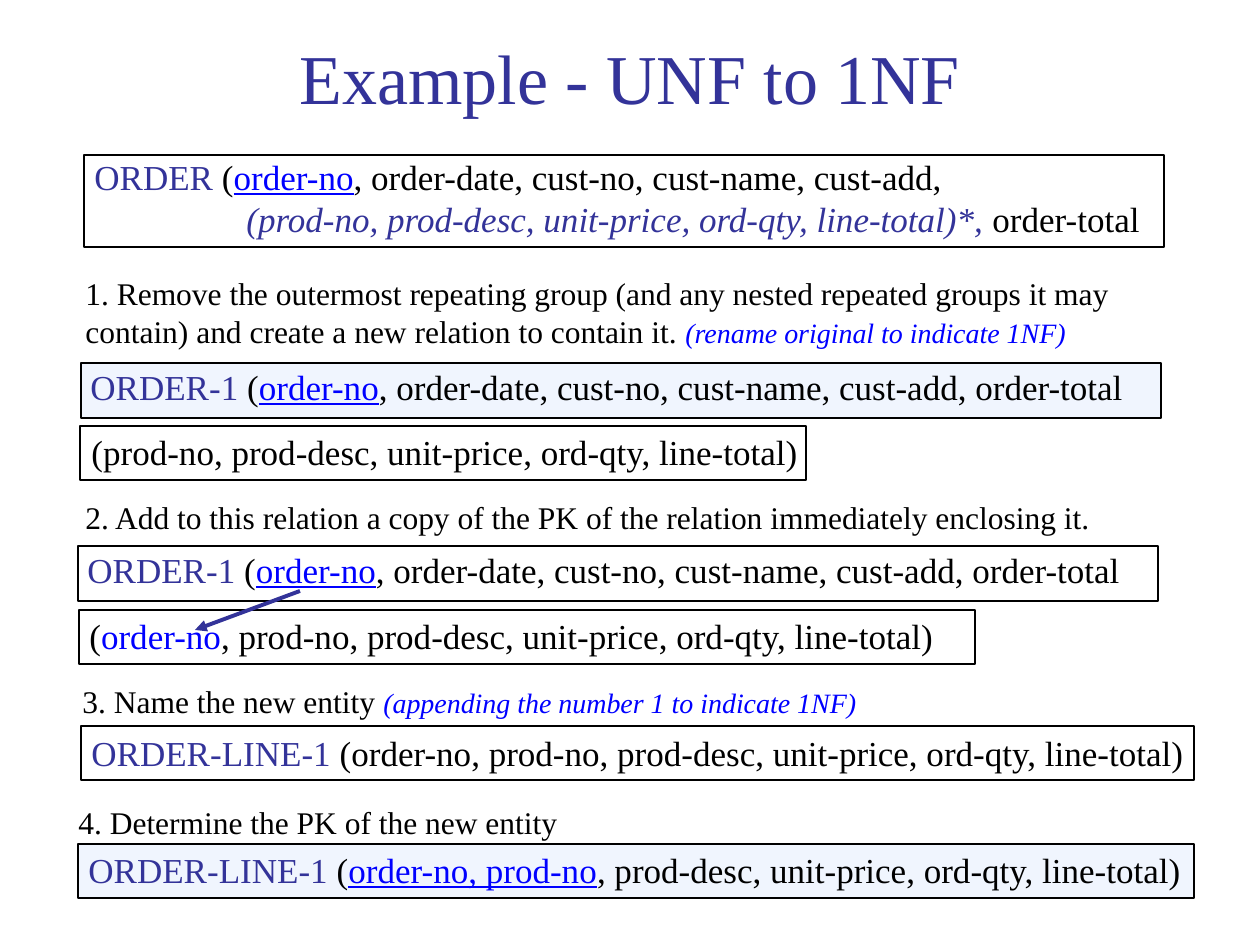
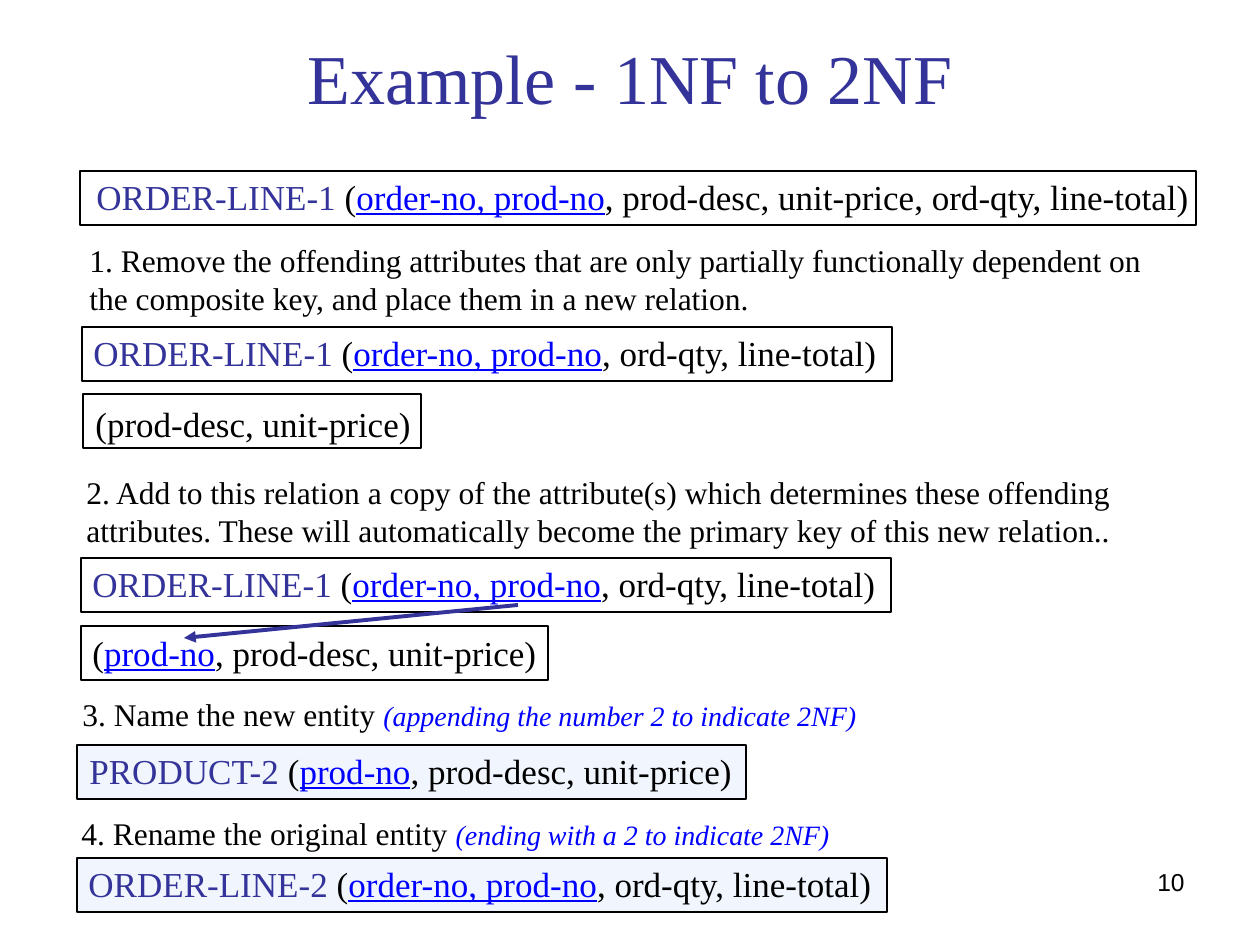
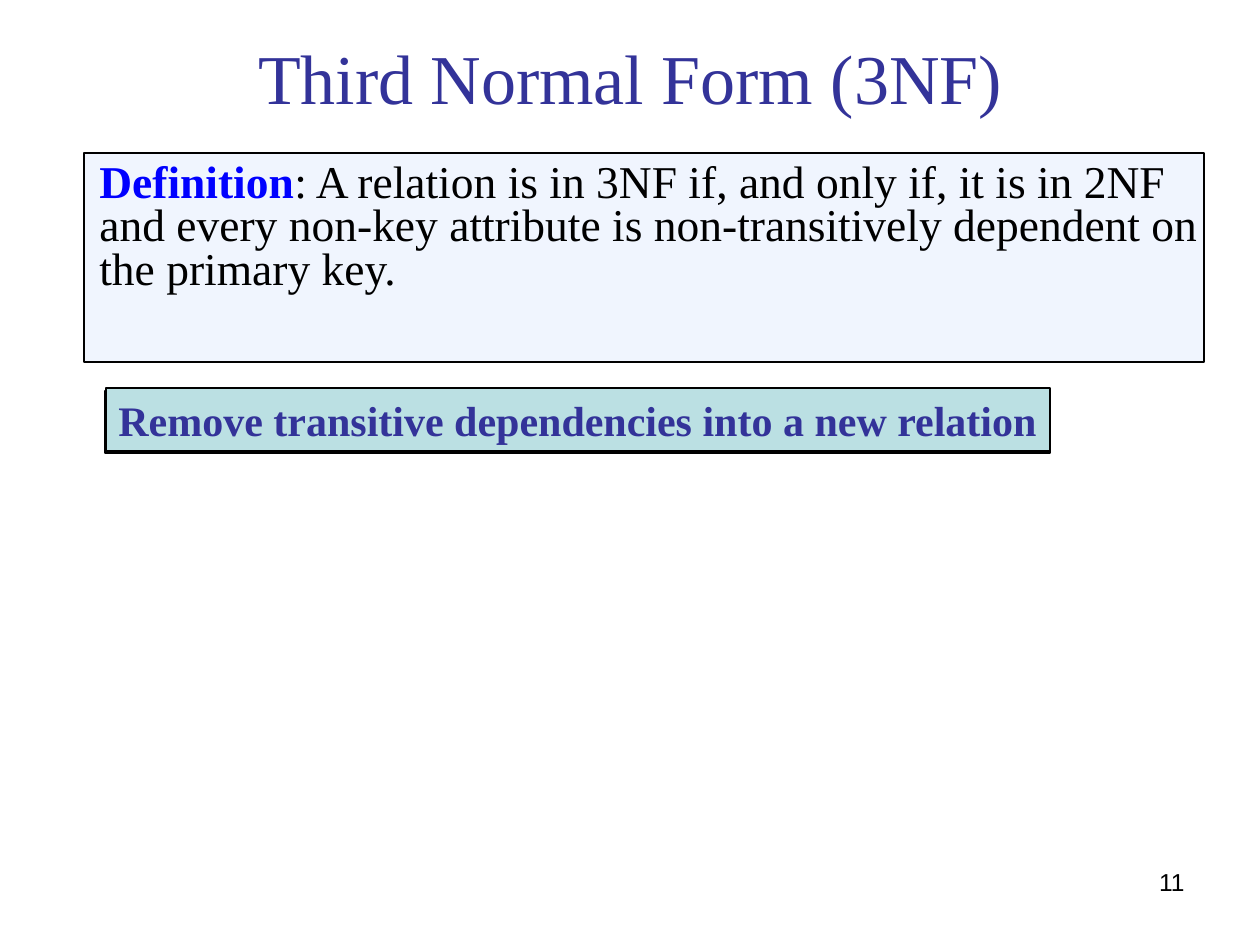
from dataclasses import dataclass
from pptx import Presentation
from pptx.dml.color import RGBColor
from pptx.enum.shapes import MSO_CONNECTOR, MSO_SHAPE
from pptx.enum.text import MSO_ANCHOR, MSO_AUTO_SIZE, PP_ALIGN
from pptx.oxml.ns import qn
from pptx.util import Pt
from lxml import etree

RECT = MSO_SHAPE.RECTANGLE
LINE = MSO_CONNECTOR.STRAIGHT
TOP, MIDDLE = MSO_ANCHOR.TOP, MSO_ANCHOR.MIDDLE
LEFT, MID, RIGHT = PP_ALIGN.LEFT, PP_ALIGN.CENTER, PP_ALIGN.RIGHT
GROW, FIXED = MSO_AUTO_SIZE.SHAPE_TO_FIT_TEXT, MSO_AUTO_SIZE.NONE
SCALE = 914400 // 126  # one pixel in EMU
SLACK = 6  # spare width that keeps a line from breaking


@dataclass(frozen=True)
class Theme:
    serif: str = "Times New Roman"
    sans: str = "Arial"
    ink: str = "000000"
    navy: str = "333399"
    blue: str = "0000FF"
    white: str = "FFFFFF"
    pale: str = "F0F5FE"
    teal: str = "BBE0E3"
    title: int = 40
    lead: int = 26
    band: int = 24
    rel: int = 20
    step: int = 18
    hint: int = 16
    num: int = 14
    edge: float = 1
    arrow: float = 2.25


T = Theme()


def px(*vals):
    return [round(v * SCALE) for v in vals]


def run(text, size, color=T.ink, font=T.serif, **marks):
    return text, size, color, font, marks


# Text and shape helpers
def fill_par(par, runs, align=LEFT):
    par.alignment = align
    for text, size, color, font, marks in runs:
        part = par.add_run()
        part.text = text
        part.font.size = Pt(size)
        part.font.name = font
        part.font.color.rgb = RGBColor.from_string(color)
        for mark, value in marks.items():
            setattr(part.font, mark, value)


def add_text(slide, box, *lines, align=LEFT, anchor=TOP, fit=GROW):
    frame = slide.shapes.add_textbox(*px(*box)).text_frame
    frame.word_wrap = True
    frame.auto_size = fit
    frame.vertical_anchor = anchor
    for i, runs in enumerate(lines):
        par = frame.add_paragraph() if i else frame.paragraphs[0]
        fill_par(par, runs, align)
    return frame


def add_rect(slide, box, fill):
    rect = slide.shapes.add_shape(RECT, *px(*box))
    rect.shadow.inherit = False
    rect.fill.solid()
    rect.fill.fore_color.rgb = RGBColor.from_string(fill)
    rect.line.color.rgb = RGBColor.from_string(T.ink)
    rect.line.width = Pt(T.edge)
    return rect


def add_arrow(slide, tip, end):
    line = slide.shapes.add_connector(LINE, *px(*tip, *end))
    line.line.color.rgb = RGBColor.from_string(T.navy)
    line.line.width = Pt(T.arrow)
    etree.SubElement(line.line._get_or_add_ln(), qn("a:headEnd"), type="triangle")
    etree.SubElement(line._element.spPr, qn("a:effectLst"))


# Runs of a relation: name, underlined key, other attributes
def relate(name, key, rest):
    runs = [run(name, T.rel, T.navy)] if name else []
    runs.append(run(" (" if name else "(", T.rel))
    if key:
        runs.append(run(key, T.rel, T.blue, underline=True))
    return runs + [run(rest, T.rel)]


# Framed relation; its text box is set off from the frame by shift
def add_rel(slide, box, *lines, shift=(0, -1), width=None, fill=T.white):
    x, y, w, h = box
    add_rect(slide, box, fill)
    return add_text(slide, (x + shift[0], y + shift[1],
                            (width or w) + SLACK, h + 1), *lines)


# Numbered step with an optional hint in italics
def add_step(slide, box, text, hint="", space=None):
    x, y, w, h = box
    runs = [run(text, T.step)]
    if hint:
        runs.append(run(hint, T.hint, T.blue, italic=True))
    frame = add_text(slide, (x, y, w + SLACK, h), runs)
    if space:
        frame.paragraphs[0].line_spacing = space


def add_page(deck, title, number=None):
    slide = deck.slides.add_slide(deck.slide_layouts[6])
    add_text(slide, (0, 1, 1260, 152), [run(title, T.title, T.navy)],
             align=MID, anchor=MIDDLE, fit=FIXED)
    if number:
        add_text(slide, (903, 861, 294, 65), [run(number, T.num, font=T.sans)],
                 align=RIGHT, fit=FIXED)
    return slide


ROW = 54  # height of a one-line relation
PAIR = "order-no, prod-no"
ORDER = relate("ORDER-1", "order-no",
               ", order-date, cust-no, cust-name, cust-add, order-total")
FULL = relate("ORDER-LINE-1", PAIR,
              ", prod-desc, unit-price, ord-qty, line-total)")
ITEMS = "prod-no, prod-desc, unit-price, ord-qty, line-total)"
SHORT = ", ord-qty, line-total)"
GOODS = ", prod-desc, unit-price)"


def first_form(deck):
    slide = add_page(deck, "Example - UNF to 1NF")

    # Unnormalised relation, second line indented
    head = relate("ORDER", "order-no",
                  ", order-date, cust-no, cust-name, cust-add,")
    group = [run("(" + ITEMS + "*,", T.rel, T.navy, italic=True),
             run(" order-total", T.rel)]
    frame = add_rel(slide, (84, 155, 1080, 92), head, group,
                    shift=(-2, -6), width=1104)
    indent = frame.paragraphs[1]._p.get_or_add_pPr()
    indent.set("marL", str(px(152)[0]))
    indent.set("indent", "0")

    # Step 1
    add_step(slide, (73, 268, 1095, 88),
             "1. Remove the outermost repeating group (and any nested repeated "
             "groups it may contain) and create a new relation to contain it. ",
             "(rename original to indicate 1NF)")
    add_rel(slide, (81, 363, 1080, 55), ORDER, shift=(-3, -4), width=1104,
            fill=T.pale)
    add_rel(slide, (80, 426, 726, ROW), relate("", "", ITEMS),
            shift=(-1, -2), width=733)

    # Step 2
    add_step(slide, (73, 492, 1032, 50),
             "2. Add to this relation a copy of the PK of the relation "
             "immediately enclosing it.")
    add_rel(slide, (78, 546, 1080, 55), ORDER, shift=(-3, -4), width=1104)
    add_rel(slide, (79, 610, 896, ROW),
            [run("(", T.rel), run("order-no", T.rel, T.blue),
             run(", " + ITEMS, T.rel)], shift=(-2, -2), width=872)
    add_arrow(slide, (195, 630), (300, 591))

    # Step 3
    add_step(slide, (70, 680, 799, 47), "3. Name the new entity ",
             "(appending the number 1 to indicate 1NF)", space=0.9)
    add_rel(slide, (81, 726, 1113, ROW),
            relate("ORDER-LINE-1", "", "order-no, " + ITEMS),
            shift=(-2, -1), width=1120)

    # Step 4
    add_step(slide, (66, 797, 504, 50), "4. Determine the PK of the new entity")
    add_rel(slide, (78, 844, 1116, ROW), FULL, shift=(-2, -2), width=1120,
            fill=T.pale)


def second_form(deck):
    slide = add_page(deck, "Example - 1NF to 2NF", "10")
    line = relate("ORDER-LINE-1", PAIR, SHORT)
    add_rel(slide, (80, 171, 1116, ROW), FULL, shift=(4, -2), width=1120)

    # Step 1
    add_step(slide, (77, 235, 1095, 88),
             "1. Remove the offending attributes that are only partially "
             "functionally dependent on the composite key, and place them in "
             "a new relation.")
    add_rel(slide, (82, 327, 810, ROW), line, shift=(-1, -2))
    add_rel(slide, (83, 394, 338, ROW), relate("", "", GOODS[2:]),
            shift=(0, 2))

    # Step 2
    add_step(slide, (74, 467, 1120, 88),
             "2. Add to this relation a copy of the attribute(s) which "
             "determines these offending attributes. These will automatically "
             "become the primary key of this new relation..")
    add_rel(slide, (81, 558, 810, ROW), line, shift=(-1, -2))
    add_rel(slide, (81, 626, 467, ROW), relate("", "prod-no", GOODS),
            shift=(-1, -1))
    add_arrow(slide, (184, 638), (518, 605))

    # Step 3
    add_step(slide, (70, 693, 799, 47), "3. Name the new entity ",
             "(appending the number 2 to indicate 2NF)", space=0.9)
    add_rel(slide, (77, 745, 669, ROW), relate("PRODUCT-2", "prod-no", GOODS),
            shift=(0, -2), fill=T.pale)

    # Step 4
    add_step(slide, (69, 808, 774, 50), "4. Rename the original entity ",
             "(ending with a 2 to indicate 2NF)")
    add_rel(slide, (77, 858, 810, ROW), relate("ORDER-LINE-2", PAIR, SHORT),
            shift=(-1, -2), fill=T.pale)


def third_form(deck):
    slide = add_page(deck, "Third Normal Form (3NF)", "11")

    # Definition
    add_rect(slide, (84, 153, 1120, 209), T.pale)
    frame = add_text(
        slide, (87, 157, 1137, 147),
        [run("Definition", T.lead, T.blue, bold=True),
         run(": A relation is in 3NF if, and only if, it is in 2NF and every "
             "non-key attribute is non-transitively dependent on the primary "
             "key.", T.lead)], fit=FIXED)
    par = frame.paragraphs[0]
    par.line_spacing = 0.8
    par.space_before = Pt(6.5)

    # Rule band over its backing
    add_rect(slide, (105, 391, 945, 62), T.white)
    frame = add_rect(slide, (106, 388, 944, 63), T.teal).text_frame
    frame.word_wrap = False
    frame.auto_size = GROW
    frame.vertical_anchor = TOP
    fill_par(frame.paragraphs[0],
             [run("Remove transitive dependencies into a new relation",
                  T.band, T.navy, bold=True)])


deck = Presentation()
deck.slide_width, deck.slide_height = px(1260, 945)
for build in (first_form, second_form, third_form):
    build(deck)
deck.save("out.pptx")
